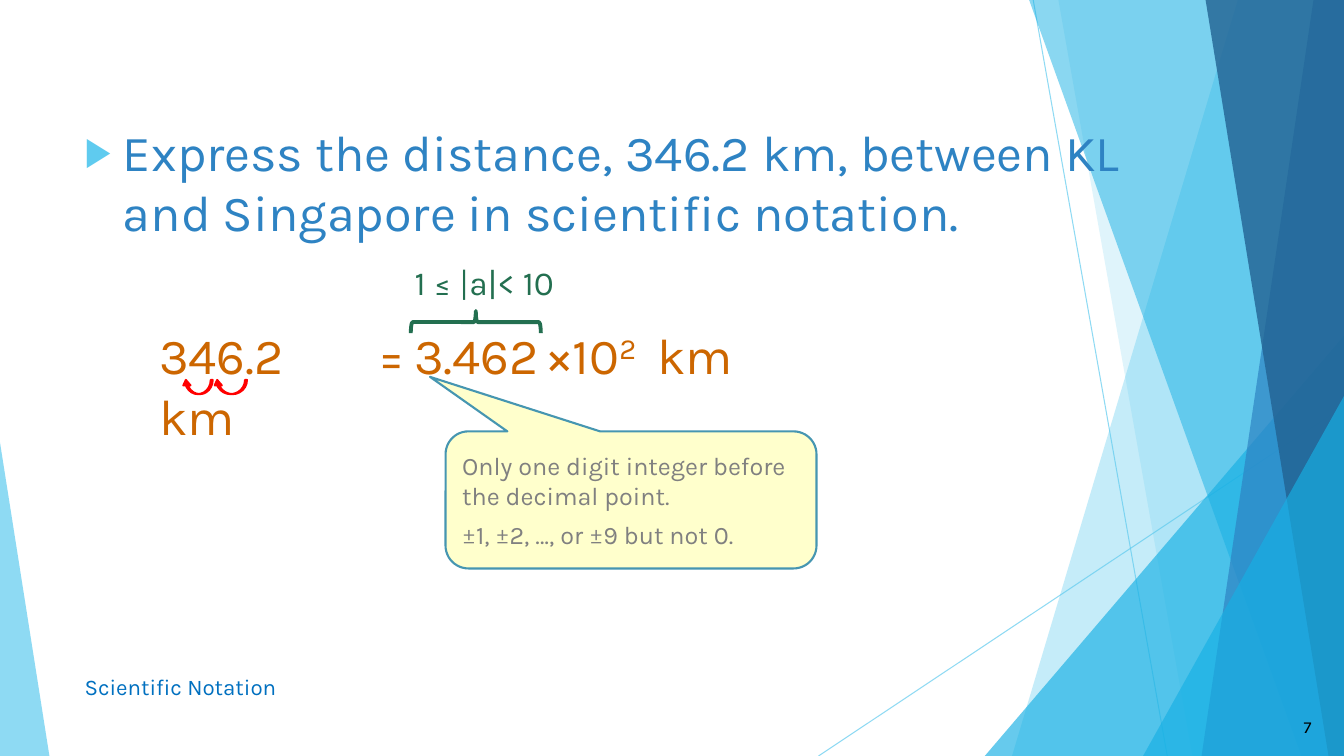
from lxml import etree
from pptx import Presentation, util as u
from pptx.dml.color import RGBColor
from pptx.enum import shapes, text
from pptx.oxml import parse_xml
from pptx.oxml.ns import nsdecls, qn

HUE = {"sky": "5FCBEF", "cyan": "17B0E4", "blue": "2E83C3", "navy": "226292",
       "link": "0070C0", "rust": "CC6600", "green": "236F50", "red": "FF0000",
       "cream": "FFFFCC", "teal": "4696B1", "gray": "808080", "black": "000000"}
RGB = {name: RGBColor.from_string(code) for name, code in HUE.items()}
KIND = shapes.MSO_SHAPE
LEFT, MID, RIGHT = text.PP_ALIGN.LEFT, text.PP_ALIGN.CENTER, text.PP_ALIGN.RIGHT

# The grid has square cells, 75 rows high
COLS, ROWS = 133.33, 75
CELL = u.Inches(7.5) / ROWS


def grid(*cells):
    return [u.Emu(round(n * CELL)) for n in cells]


def write(box, *paras, size=36, hue="rust", align=LEFT, mid=False, gap=0,
          inset=1, sup=""):
    """Fill a shape with paragraphs; text between ~ marks is set in Cambria."""
    frame = box.text_frame
    frame.word_wrap = True
    frame.auto_size = text.MSO_AUTO_SIZE.NONE
    frame.margin_left = grid(inset)[0]
    frame.vertical_anchor = text.MSO_ANCHOR.MIDDLE if mid else text.MSO_ANCHOR.TOP
    for row, line in enumerate(paras):
        para = frame.add_paragraph() if row else frame.paragraphs[0]
        para.alignment = align
        para.space_before = u.Pt(gap if row else 0)
        parts = line.split("~") + ([sup] if sup else [])
        for i, part in enumerate(parts):
            if not part:
                continue
            run = para.add_run()
            run.text = part
            run.font.size = u.Pt(size)
            run.font.color.rgb = RGB[hue]
            run.font.name = "Cambria" if i % 2 and not sup else "Karla"
    if sup:
        run.font._element.set("baseline", "30000")
    return frame


deck = Presentation()
deck.slide_width, deck.slide_height = grid(COLS, ROWS)
page = deck.slides.add_slide(deck.slide_layouts[1])
title, body = page.placeholders[0], page.placeholders[1]
title._element.getparent().remove(title._element)
items = page.shapes

# Backdrop: two thin rays, then see-through facets
inks = []
for ends in [(102.5, 0, 115.8, ROWS), (COLS, 40.3, 81.2, ROWS)]:
    ray = items.add_connector(shapes.MSO_CONNECTOR.STRAIGHT, *grid(*ends))
    ray.line.width = u.Pt(0.75)
    ray.line.fill.solid()
    etree.SubElement(ray._element.spPr, qn("a:effectLst"))
    inks.append((ray.line.fill, "sky", 70))

# A band gives its left edge at top and bottom; a triangle its left, top, width, apex
facets = [("sky", 36, (122.8, 100.4)), ("sky", 20, (105, 118.3)),
          ("cyan", 66, (97.7, 33.3, 35.63, 1)), ("cyan", 50, (102.1, 129.1)),
          ("blue", 70, (130.3, 119.2)), ("navy", 80, (119.6, 131.8)),
          ("cyan", 66, (113.4, 39.3, 19.93, 1)), ("sky", 70, (0, 43.9, 4.9, 0))]
for hue, alpha, edge in facets:
    if len(edge) == 2:
        top, low = edge
        pen = items.build_freeform(*grid(top, 0), scale=1)
        pen.add_line_segments([grid(*spot) for spot in
                               [(COLS, 0), (COLS, ROWS), (low, ROWS)]])
        facet = pen.convert_to_shape()
    else:
        x, y, wide, apex = edge
        facet = items.add_shape(KIND.ISOSCELES_TRIANGLE,
                                *grid(x, y, wide, ROWS - y))
        facet.adjustments[0] = apex
    facet.shadow.inherit = False
    facet.line.fill.background()
    facet.fill.solid()
    inks.append((facet.fill, hue, alpha))

for fill, hue, alpha in inks:
    fill.fore_color.rgb = RGB[hue]
    tint = fill._xPr.find(qn("a:solidFill"))[0]
    etree.SubElement(tint, qn("a:alpha"), val=str(alpha * 1000))

# Question, brought in front of the backdrop
body.left, body.top, body.width, body.height = grid(7.4, 11.5, 111.1, 53.9)
task = write(body, "Express the distance, 346.2 km, between KL and Singapore "
             "in scientific notation.", hue="blue").paragraphs[0]
task.space_before = u.Pt(10)
props = task._p.get_or_add_pPr()
hang = grid(3.8)[0]
props.set("marL", str(hang))
props.set("indent", str(-hang))
for mark in [f'<a:buClr {nsdecls("a")}><a:srgbClr val="{HUE["sky"]}"/></a:buClr>',
             f'<a:buSzPct {nsdecls("a")} val="80000"/>',
             f'<a:buFont {nsdecls("a")} typeface="Arial"/>',
             f'<a:buChar {nsdecls("a")} char="▶"/>']:
    props.append(parse_xml(mark))
items._spTree.append(body._element)

# Equation, labels and page number
for spot, line, look in [
        ((14.8, 31.7, 22.7, 7.1), "346.2 km", {}),
        ((7.4, 66.1, 68.9, 4), "Scientific Notation",
         dict(size=16, hue="link", mid=True)),
        ((40.1, 31.7, 14.5, 7.1), "3.462", {}),
        ((54.2, 31.7, 11.8, 7.1), "×10", dict(inset=0, sup="2")),
        ((36.3, 31.7, 5.1, 7.1), "=", dict(align=MID)),
        ((65.2, 31.7, 11.8, 7.1), "km", dict(inset=0)),
        ((37.9, 25.5, 20.3, 5), "1 ≤~ |~a|< 10",
         dict(size=24, hue="green", align=MID)),
        ((123.6, 70.1, 7.5, 4), "7",
         dict(size=12, hue="black", align=RIGHT, mid=True))]:
    write(items.add_textbox(*grid(*spot)), line, **look)

# Decimal hops, callout and brace
hop = (0.131, 0.5, 0.385)
for kind, spot, adj, fill, edge, thick in [
        (KIND.CURVED_UP_ARROW, (18.1, 37.7, 3, 1.4), hop, "red", "red", 1.5),
        (KIND.CURVED_UP_ARROW, (21.2, 37.7, 3.3, 1.4), hop, "red", "red", 1.5),
        (KIND.ROUNDED_RECTANGULAR_CALLOUT, (44.2, 42.8, 36.8, 13.6),
         (-0.542, -0.898, 0.167), "cream", "teal", 1.5),
        (KIND.RIGHT_BRACE, (46.1, 25.5, 2.2, 12.9), (), None, "green", 2.75)]:
    mark = items.add_shape(kind, *grid(*spot))
    mark.shadow.inherit = False
    for i, share in enumerate(adj):
        mark.adjustments[i] = share
    mark.line.color.rgb = RGB[edge]
    mark.line.width = u.Pt(thick)
    if fill:
        mark.fill.solid()
        mark.fill.fore_color.rgb = RGB[fill]
    else:
        mark.fill.background()
    if kind == KIND.CURVED_UP_ARROW:
        mark._element.spPr.xfrm.set("flipH", "1")
    elif kind == KIND.RIGHT_BRACE:
        mark.rotation = 270
    else:
        write(mark, "Only one digit integer before the decimal point.",
              "~±~1, ~±~2, …, or ~±~9 but not 0.",
              size=18, hue="gray", mid=True, gap=6)

deck.save("out.pptx")
